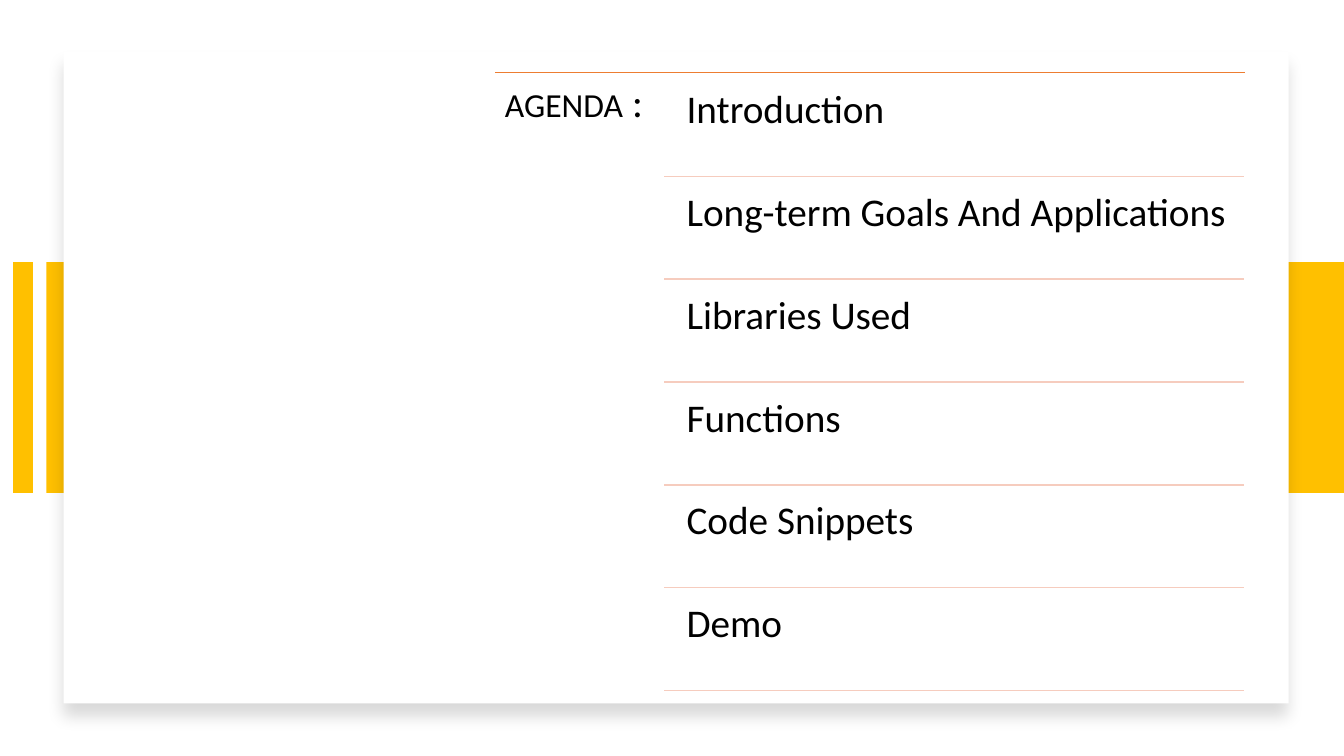
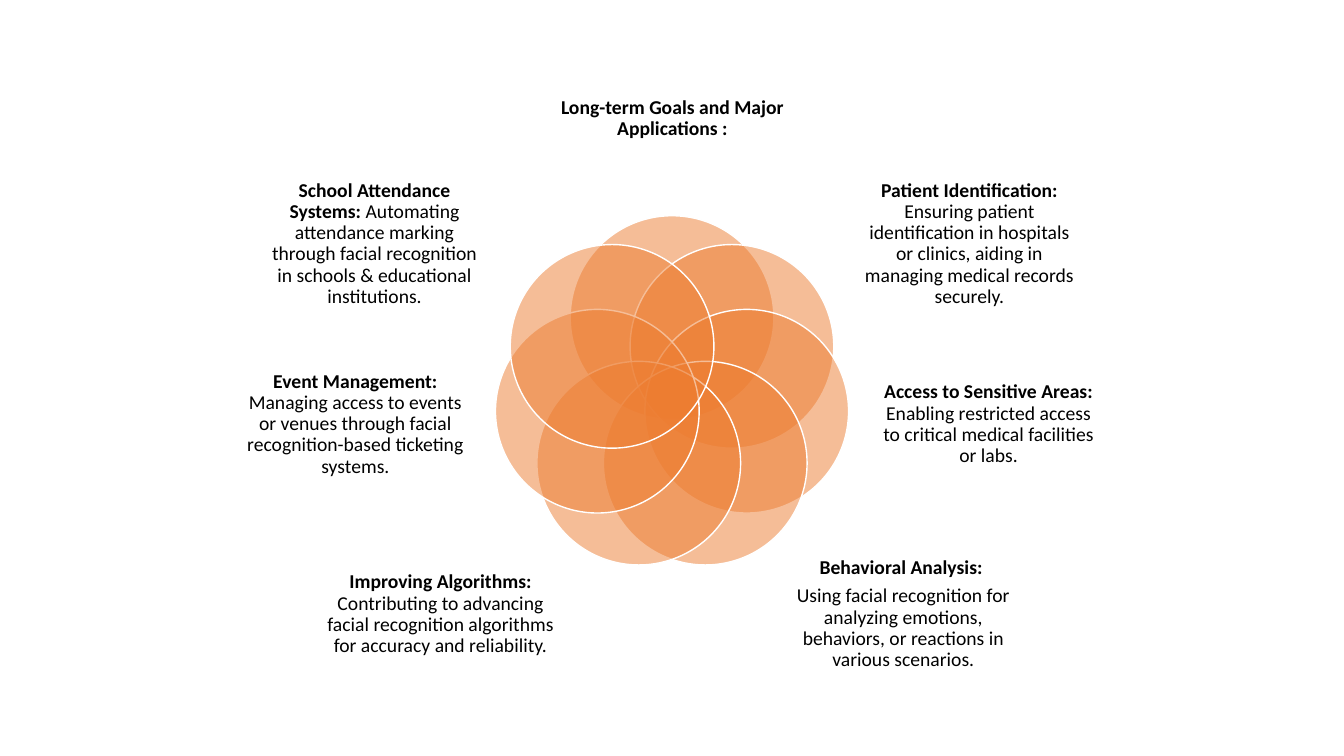
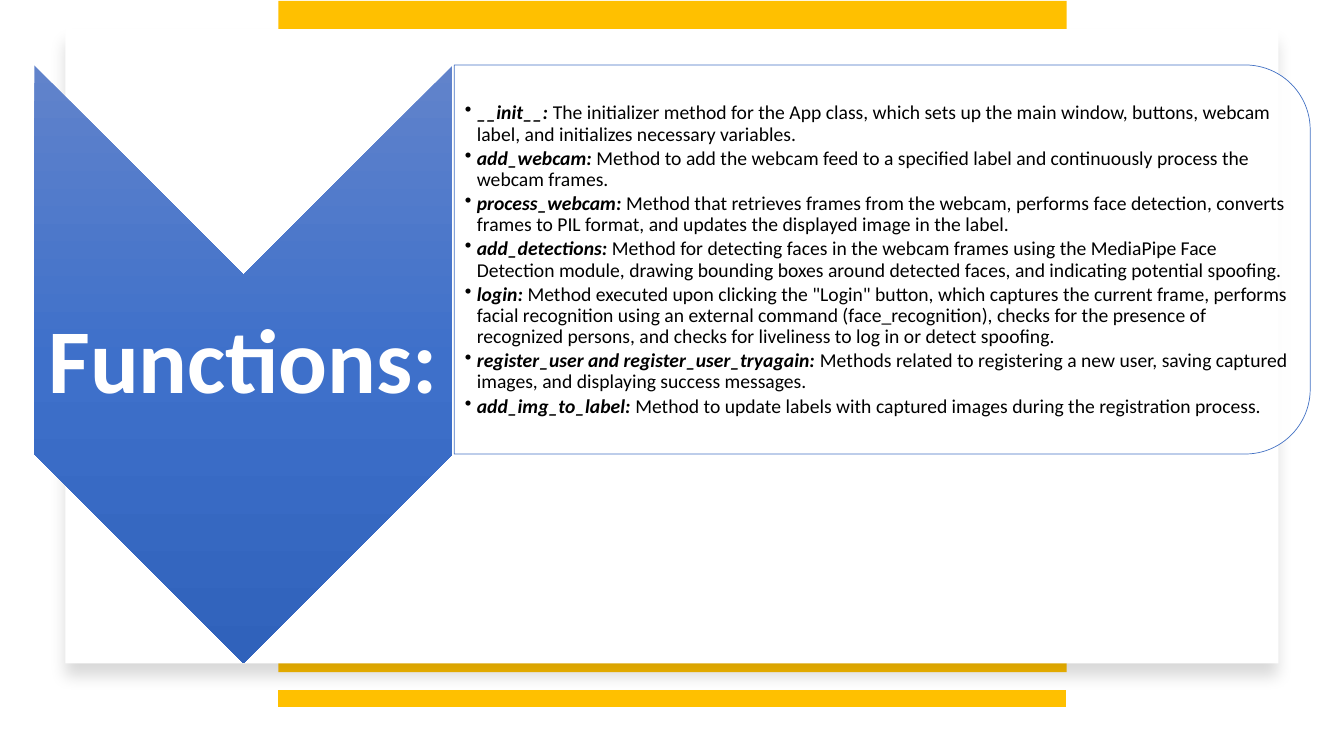
from math import cos, pi, sin

from lxml.etree import SubElement
from pptx import Presentation
from pptx.dml.color import RGBColor
from pptx.enum.shapes import MSO_CONNECTOR as CONNECTOR, MSO_SHAPE as SHAPE
from pptx.enum.text import MSO_ANCHOR as ANCHOR, PP_ALIGN as ALIGN
from pptx.oxml import parse_xml
from pptx.oxml.ns import nsdecls, qn
from pptx.util import Inches, Pt

FONT = "Calibri"
COLORS = {
    "white": "FFFFFF", "black": "000000", "yellow": "FFC000",
    "orange": "ED7D31", "pink": "F6CCBE", "blue": "4472C4",
    "blue_top": "6183CB", "blue_middle": "3E70CA", "blue_bottom": "3062BB",
}
SLIDE_WIDTH, SLIDE_HEIGHT = 13.33, 7.5

AGENDA = ["Introduction", "Long-term Goals And Applications", "Libraries Used",
          "Functions", "Code Snippets", "Demo"]

GOALS = [
    [("Long-term Goals and Major Applications :", "")],
    [("Patient Identification: ", "Ensuring patient identification in hospitals or clinics, "
      "aiding in managing medical records securely.")],
    [("Access to Sensitive Areas:", " Enabling restricted access to critical medical "
      "facilities or labs.")],
    [("Behavioral Analysis: ", ""),
     ("", "Using facial recognition for analyzing emotions, behaviors, or reactions in "
      "various scenarios.")],
    [("Improving Algorithms:", " Contributing to advancing facial recognition algorithms "
      "for accuracy and reliability.")],
    [("Event Management:", " Managing access to events or venues through facial "
      "recognition-based ticketing systems.")],
    [("School Attendance Systems:", " Automating attendance marking through facial "
      "recognition in schools & educational institutions.")],
]
TOP_LABEL = (5.51, 0.56, 2.32, 1.24)
RIGHT_LABELS = [(8.52, 1.74, 2.19, 1.36), (8.73, 3.48, 2.15, 1.46), (7.8, 5.43, 2.32, 1.33)]

FUNCTIONS = [
    ("__init__: ", "The initializer method for the App class, which sets up the main window, "
     "buttons, webcam label, and initializes necessary variables."),
    ("add_webcam: ", "Method to add the webcam feed to a specified label and continuously "
     "process the webcam frames."),
    ("process_webcam: ", "Method that retrieves frames from the webcam, performs face "
     "detection, converts frames to PIL format, and updates the displayed image in the label."),
    ("add_detections: ", "Method for detecting faces in the webcam frames using the MediaPipe "
     "Face Detection module, drawing bounding boxes around detected faces, and indicating "
     "potential spoofing."),
    ("login: ", "Method executed upon clicking the \"Login\" button, which captures the current "
     "frame, performs facial recognition using an external command (face_recognition), checks "
     "for the presence of recognized persons, and checks for liveliness to log in or detect "
     "spoofing."),
    ("register_user and register_user_tryagain: ", "Methods related to registering a new user, "
     "saving captured images, and displaying success messages."),
    ("add_img_to_label: ", "Method to update labels with captured images during the "
     "registration process."),
]


def color(name):
    return RGBColor.from_string(COLORS[name])


def add_block(slide, kind, box, fill=None, opacity=100, line=None, line_width=1, rotation=0):
    block = slide.shapes.add_shape(kind, *map(Inches, box))
    block.rotation = rotation
    block.shadow.inherit = False
    if fill:
        block.fill.solid()
        block.fill.fore_color.rgb = color(fill)
        if opacity < 100:
            tint = block._element.spPr.find(qn("a:solidFill"))[0]
            SubElement(tint, qn("a:alpha"), val=str(opacity * 1000))
    if line:
        block.line.color.rgb = color(line)
        block.line.width = Pt(line_width)
    else:
        block.line.fill.background()
    return block


def add_card(slide, box):
    card = add_block(slide, SHAPE.RECTANGLE, box, "white")
    effects = card._element.spPr.find(qn("a:effectLst"))
    shadow = SubElement(effects, qn("a:outerShdw"), blurRad=str(Pt(11)), dist=str(Pt(10)),
                        dir="5400000", algn="t", rotWithShape="0")
    tint = SubElement(shadow, qn("a:srgbClr"), val=COLORS["black"])
    SubElement(tint, qn("a:alpha"), val="15000")


def add_rule(slide, start, end, name, width=1):
    rule = slide.shapes.add_connector(CONNECTOR.STRAIGHT, *map(Inches, start + end))
    rule.line.color.rgb = color(name)
    rule.line.width = Pt(width)
    SubElement(rule._element.spPr, qn("a:effectLst"))


def add_text(slide, box, paragraphs, insets, align=ALIGN.LEFT, anchor=ANCHOR.TOP,
             ink="black", gap=0.35, bullet=None):
    frame = slide.shapes.add_textbox(*map(Inches, box)).text_frame
    frame.word_wrap = True
    frame.vertical_anchor = anchor
    (frame.margin_left, frame.margin_top,
     frame.margin_right, frame.margin_bottom) = map(Inches, insets)
    for index, runs in enumerate(paragraphs):
        paragraph = frame.add_paragraph() if index else frame.paragraphs[0]
        paragraph.alignment = align
        paragraph.line_spacing = 0.9
        paragraph.space_after = Pt(round(runs[0][1] * gap, 1))
        if bullet:
            properties = paragraph._p.get_or_add_pPr()
            properties.set("marL", str(Inches(0.12)))
            properties.set("indent", str(Inches(-0.12)))
            SubElement(properties, qn("a:buChar"), char=bullet)
        for words, size, bold, italic in runs:
            run = paragraph.add_run()
            run.text = words
            run.font.name = FONT
            run.font.size = Pt(size)
            run.font.bold = bold
            run.font.italic = italic
            run.font.color.rgb = color(ink)


def lead_and_body(lead, body, italic=False):
    runs = [(lead, 14, True, italic), (body, 14, False, False)]
    return [run for run in runs if run[0]]


def build_agenda(slide):
    band_top, band_height = 2.6, 2.29
    add_block(slide, SHAPE.RECTANGLE, (0.46, band_top, 12.87, band_height), "yellow")
    add_rule(slide, (0.23, band_top), (0.23, band_top + band_height), "yellow", 14)
    add_card(slide, (0.63, 0.51, 12.15, 6.47))

    top, row_height = 0.72, 1.02
    add_rule(slide, (4.91, top), (12.35, top), "orange")
    add_text(slide, (4.91, top, 1.67, 6.18),
             [[("AGENDA", 24, False, False), (" :", 29, False, False)]], [0.1] * 4)
    for row, topic in enumerate(AGENDA):
        row_top = top + row * row_height
        add_text(slide, (6.69, row_top + 0.05, 5.65, 0.97),
                 [[(topic, 28, False, False)]], [0.12] * 4)
        rule_y = row_top + row_height + 0.01
        add_rule(slide, (6.59, rule_y), (12.34, rule_y), "pink")


def build_goals(slide):
    center_x, center_y, orbit, diameter = SLIDE_WIDTH / 2, 3.91, 0.76, 2.02
    left_labels = [(SLIDE_WIDTH - x - w, y, w, h) for x, y, w, h in reversed(RIGHT_LABELS)]
    labels = [TOP_LABEL] + RIGHT_LABELS + left_labels
    for index, (goal, label) in enumerate(zip(GOALS, labels)):
        angle = 2 * pi * index / len(GOALS)
        left = center_x + orbit * sin(angle) - diameter / 2
        top = center_y - orbit * cos(angle) - diameter / 2
        add_block(slide, SHAPE.OVAL, (left, top, diameter, diameter), "orange", 50, "white")
        add_text(slide, label, [lead_and_body(*part) for part in goal], [0] * 4,
                 ALIGN.CENTER, ANCHOR.MIDDLE)


def build_functions(slide):
    add_rule(slide, (10.57, 6.93), (2.76, 6.93), "yellow", 12)
    add_block(slide, SHAPE.RECTANGLE, (2.76, 0.01, 7.82, 6.66), "yellow")
    add_card(slide, (0.65, 0.29, 12.03, 6.29))

    chevron = add_block(slide, SHAPE.CHEVRON, (-0.55, 1.54, 5.93, 4.15), rotation=90)
    stops = "".join(
        f'<a:gs pos="{position}"><a:srgbClr val="{COLORS[name]}"/></a:gs>'
        for position, name in [(0, "blue_top"), (50000, "blue_middle"), (100000, "blue_bottom")])
    chevron._element.spPr.insert(2, parse_xml(
        f'<a:gradFill {nsdecls("a")} rotWithShape="0"><a:gsLst>{stops}</a:gsLst>'
        '<a:lin ang="5400000" scaled="0"/></a:gradFill>'))
    add_text(slide, (0.34, 2.72, 4.15, 1.78), [[("Functions:", 65, True, False)]],
             [0.05] * 4, ALIGN.CENTER, ANCHOR.MIDDLE, "white")

    add_block(slide, SHAPE.ROUND_2_SAME_RECTANGLE, (6.82, -1.67, 3.86, 8.49),
              "white", 90, "blue", 0.5, 90)
    add_text(slide, (4.5, 0.84, 8.3, 3.48),
             [lead_and_body(name, purpose, True) for name, purpose in FUNCTIONS],
             (0.11, 0.01, 0.01, 0.01), anchor=ANCHOR.MIDDLE, gap=0.15, bullet="•")


def main():
    deck = Presentation()
    deck.slide_width = Inches(SLIDE_WIDTH)
    deck.slide_height = Inches(SLIDE_HEIGHT)
    for build in (build_agenda, build_goals, build_functions):
        build(deck.slides.add_slide(deck.slide_layouts[6]))
    deck.save("out.pptx")


if __name__ == "__main__":
    main()
